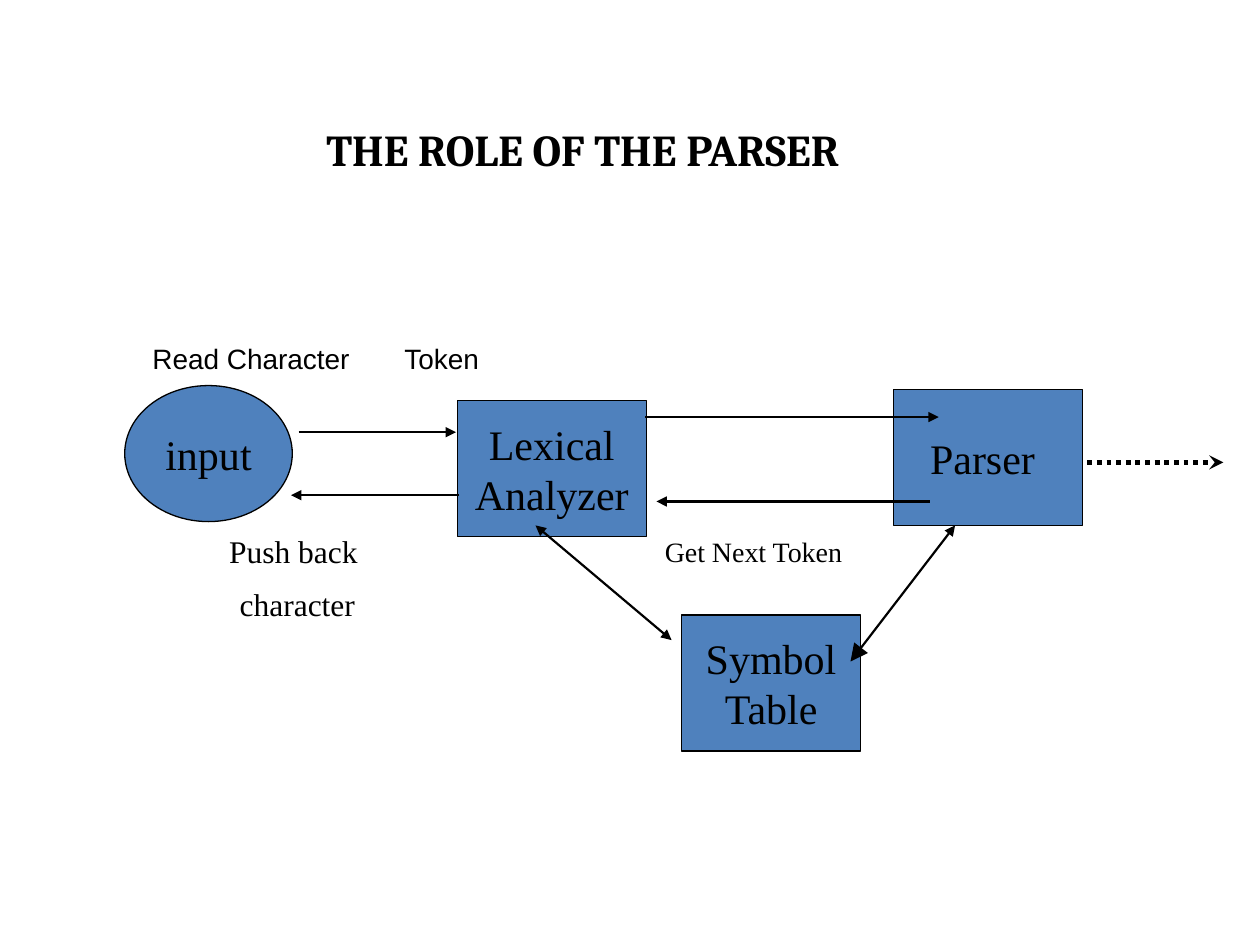
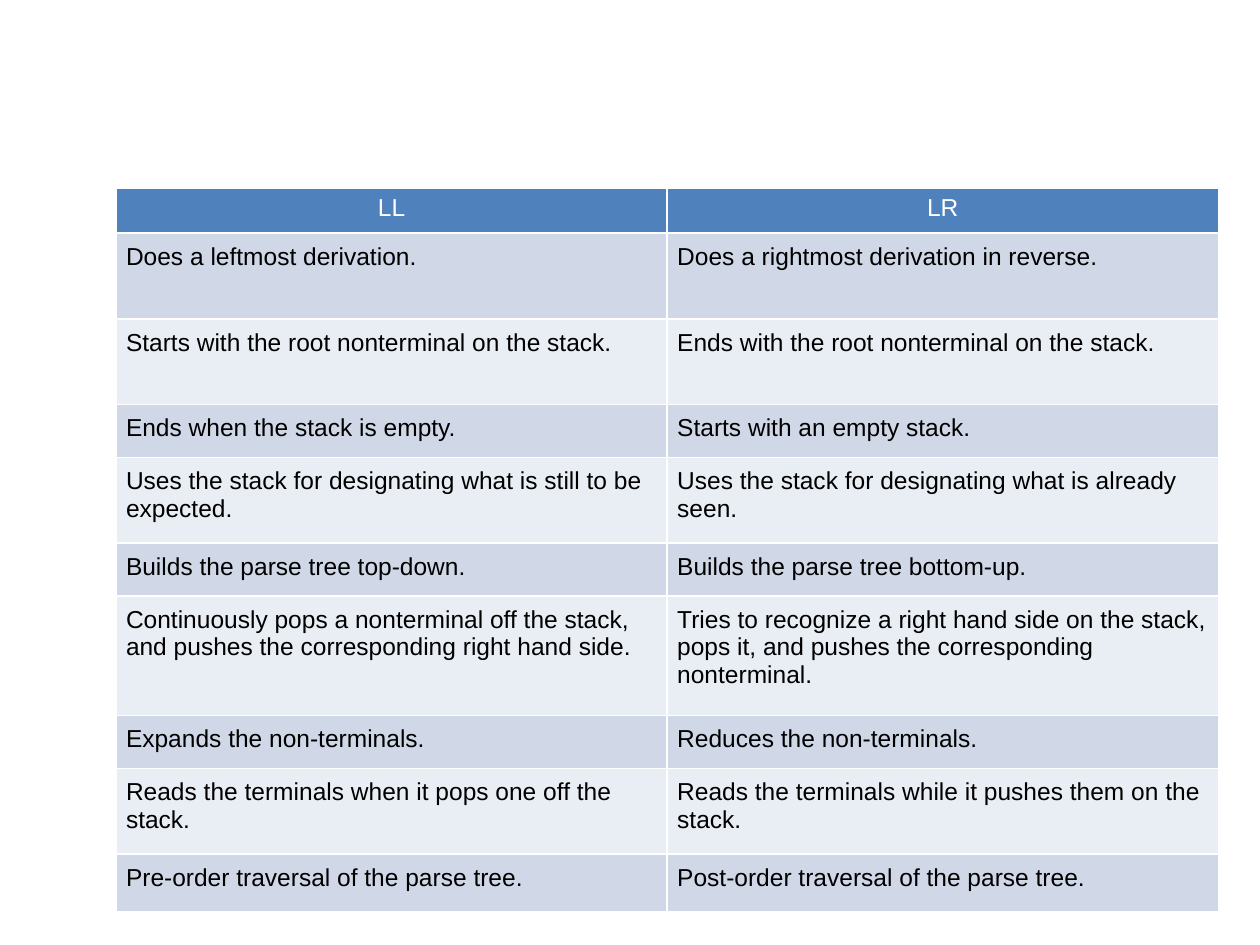
from lxml import etree
from pptx import Presentation
from pptx.dml.color import RGBColor
from pptx.enum import dml, shapes, text
from pptx.oxml import ns
from pptx.util import Inches, Pt

COLORS = {
    "ink": "000000",
    "white": "FFFFFF",
    "blue": "4F81BD",
    "band_dark": "D0D8E8",
    "band_light": "E9EDF4",
}
SANS, SERIF, TITLE_FONT = "Arial", "Times New Roman", "Cambria"
LEFT, CENTER = text.PP_ALIGN.LEFT, text.PP_ALIGN.CENTER
TOP, MIDDLE = text.MSO_ANCHOR.TOP, text.MSO_ANCHOR.MIDDLE
RECTANGLE, OVAL = shapes.MSO_SHAPE.RECTANGLE, shapes.MSO_SHAPE.OVAL

# Outline, text, position and size of each stage of the parser
STAGES = [
    (RECTANGLE, "Symbol\nTable", (5.41, 4.88, 1.42, 1.08)),
    (RECTANGLE, "Parser ", (7.09, 3.09, 1.5, 1.08)),
    (RECTANGLE, "Lexical\nAnalyzer", (3.63, 3.18, 1.5, 1.08)),
    (OVAL, "input", (0.99, 3.06, 1.33, 1.08)),
]
ONE_WAY = [
    ((5.12, 3.31), (7.45, 3.31)),
    ((7.38, 3.98), (5.21, 3.98)),
    ((2.37, 3.43), (3.62, 3.43)),
    ((3.64, 3.93), (2.31, 3.93)),
]

COMPARISON = [
    ("LL", "LR"),
    ("Does a leftmost derivation.", "Does a rightmost derivation in reverse."),
    ("Starts with the root nonterminal on the stack.",
     "Ends with the root nonterminal on the stack."),
    ("Ends when the stack is empty.", "Starts with an empty stack."),
    ("Uses the stack for designating what is still to be expected.",
     "Uses the stack for designating what is already seen."),
    ("Builds the parse tree top-down.", "Builds the parse tree bottom-up."),
    ("Continuously pops a nonterminal off the stack, and pushes the "
     "corresponding right hand side.",
     "Tries to recognize a right hand side on the stack, pops it, and pushes "
     "the corresponding nonterminal."),
    ("Expands the non-terminals.", "Reduces the non-terminals."),
    ("Reads the terminals when it pops one off the stack.",
     "Reads the terminals while it pushes them on the stack."),
    ("Pre-order traversal of the parse tree.",
     "Post-order traversal of the parse tree."),
]
ROW_HEIGHTS = [0.36, 0.68, 0.68, 0.42, 0.68, 0.42, 0.95, 0.42, 0.68, 0.46]


def rgb(name):
    return RGBColor.from_string(COLORS[name])


def inches(*lengths):
    return [Inches(length) for length in lengths]


def write(frame, content, size, font=SERIF, color="ink", bold=False,
          align=CENTER, gap=0, tab=None):
    """Fill a text frame, one paragraph per line; gap separates paragraphs."""
    frame.word_wrap = True
    frame.text = content
    for index, paragraph in enumerate(frame.paragraphs):
        if tab:
            add_tab_stop(paragraph, tab)
        paragraph.alignment = align
        paragraph.space_before = Pt(gap if index else 0)
        paragraph.font.name = font
        paragraph.font.size = Pt(size)
        paragraph.font.bold = bold
        paragraph.font.color.rgb = rgb(color)


def add_tab_stop(paragraph, position):
    """Drop the bullet and indent, and set one left tab stop."""
    properties = paragraph._p.get_or_add_pPr()
    properties.set("marL", "0")
    properties.set("indent", "0")
    etree.SubElement(properties, ns.qn("a:buNone"))
    tabs = etree.SubElement(properties, ns.qn("a:tabLst"))
    etree.SubElement(tabs, ns.qn("a:tab"), pos=str(Inches(position)), algn="l")


def fill_placeholder(shape, box, content, size, anchor=TOP, **style):
    shape.left, shape.top, shape.width, shape.height = inches(*box)
    shape.text_frame.auto_size = text.MSO_AUTO_SIZE.NONE
    shape.text_frame.vertical_anchor = anchor
    write(shape.text_frame, content, size, align=LEFT, **style)


def add_stage(slide, outline, content, box):
    shape = slide.shapes.add_shape(outline, *inches(*box))
    shape.shadow.inherit = False
    shape.fill.solid()
    shape.fill.fore_color.rgb = rgb("blue")
    shape.line.color.rgb = rgb("ink")
    shape.line.width = Pt(0.75)
    shape.text_frame.vertical_anchor = MIDDLE
    write(shape.text_frame, content, 24)


def add_label(slide, content, box, size, gap=0):
    label = slide.shapes.add_textbox(*inches(*box))
    write(label.text_frame, content, size, gap=gap)


def add_arrow(slide, start, end, width=1.25, dash=None, head=None,
              tail="triangle", tail_size="med"):
    arrow = slide.shapes.add_connector(
        shapes.MSO_CONNECTOR.STRAIGHT, *inches(*start, *end))
    arrow.line.color.rgb = rgb("ink")
    arrow.line.width = Pt(width)
    if dash:
        arrow.line.dash_style = dash
    line = arrow.line._get_or_add_ln()
    for tag, kind, size in (("a:headEnd", head, "med"),
                            ("a:tailEnd", tail, tail_size)):
        if kind:
            etree.SubElement(line, ns.qn(tag), type=kind, w=size, len=size)
    etree.SubElement(arrow._element.spPr, ns.qn("a:effectLst"))


def add_comparison_table(slide, rows, heights, box):
    table = slide.shapes.add_table(len(rows), len(rows[0]), *inches(*box)).table
    for index, (contents, height) in enumerate(zip(rows, heights)):
        table.rows[index].height = Inches(height)
        header = index == 0
        fill = "blue" if header else ("band_light", "band_dark")[index % 2]
        for cell, content in zip(table.rows[index].cells, contents):
            cell.fill.solid()
            cell.fill.fore_color.rgb = rgb(fill)
            cell.margin_left = cell.margin_right = Inches(0.1 if header else 0.08)
            cell.margin_top = cell.margin_bottom = Inches(0.05 if header else 0.08)
            write(cell.text_frame, content, 14, font=SANS,
                  color="white" if header else "ink",
                  align=CENTER if header else LEFT)


def build_parser_role(presentation):
    slide = presentation.slides.add_slide(presentation.slide_layouts[1])
    fill_placeholder(slide.shapes.title, (2.49, 0.88, 7, 0.6),
                     "THE ROLE OF THE PARSER", 25.2, anchor=MIDDLE,
                     font=TITLE_FONT, bold=True)
    fill_placeholder(slide.placeholders[1], (1.11, 2.66, 8.38, 0.36),
                     "Read Character\tToken", 16, font=SANS, tab=3.77)
    for stage in STAGES:
        add_stage(slide, *stage)
    for start, end in ONE_WAY:
        add_arrow(slide, start, end)
    add_arrow(slide, (7.58, 4.17), (6.75, 5.25), head="triangle", tail_size="lg")
    add_arrow(slide, (4.25, 4.17), (5.33, 5.08), head="triangle")
    add_arrow(slide, (8.63, 3.67), (9.71, 3.67), width=2.75,
              dash=dml.MSO_LINE.ROUND_DOT, tail="stealth")
    add_label(slide, "Push back \ncharacter", (1.57, 4.17, 1.58, 0.85), 18, gap=9)
    add_label(slide, "Get Next Token", (4.94, 4.19, 2.08, 0.37), 16)


def build_comparison(presentation):
    slide = presentation.slides.add_slide(presentation.slide_layouts[6])
    add_comparison_table(slide, COMPARISON, ROW_HEIGHTS,
                         (0.92, 1.49, 8.75, sum(ROW_HEIGHTS)))


def main():
    presentation = Presentation()
    presentation.slide_width, presentation.slide_height = inches(10, 7.5)
    build_parser_role(presentation)
    build_comparison(presentation)
    presentation.save("out.pptx")


if __name__ == "__main__":
    main()
